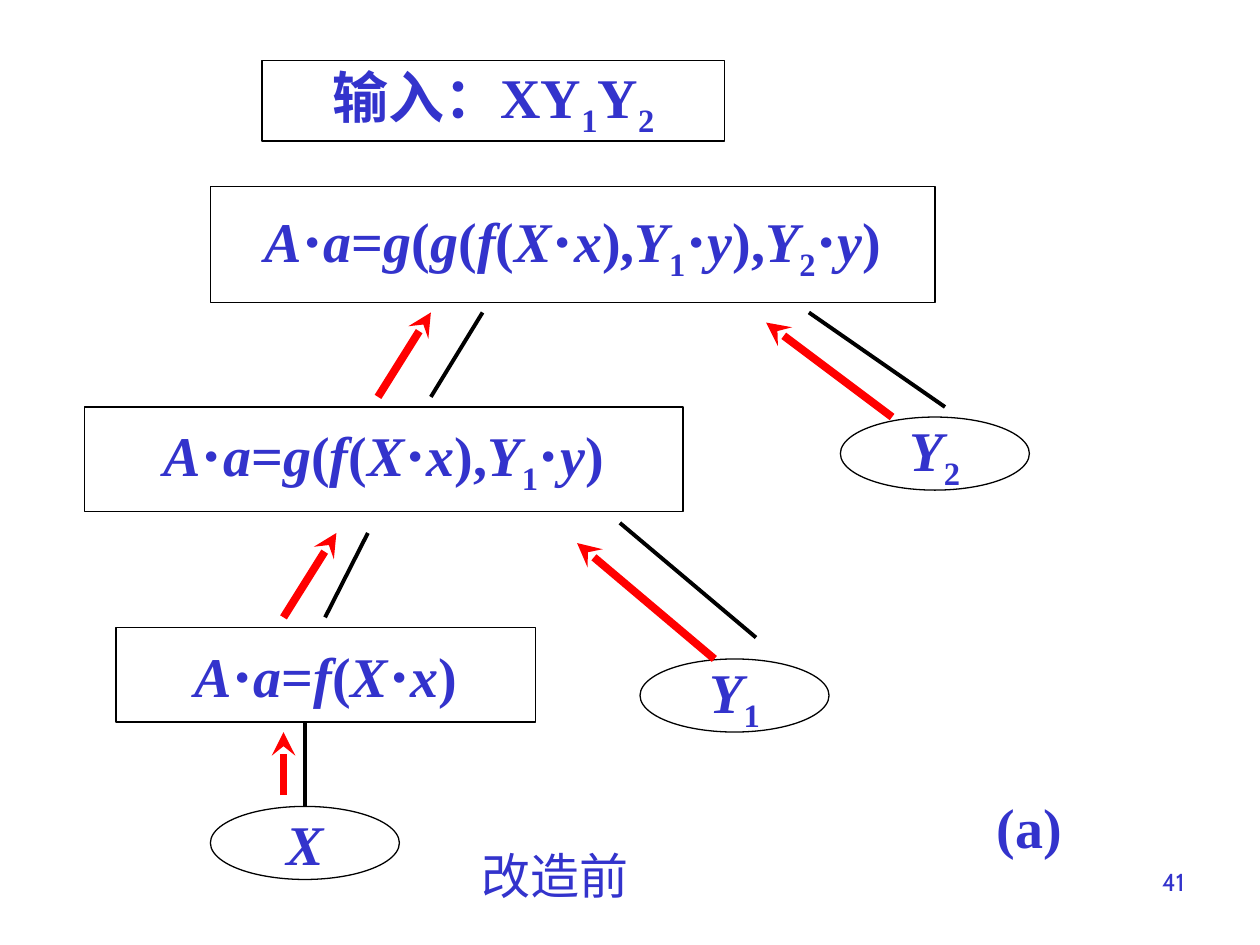
from dataclasses import dataclass
from itertools import groupby

from lxml import etree
from pptx import Presentation
from pptx.dml.color import RGBColor
from pptx.enum import shapes, text
from pptx.oxml.ns import qn
from pptx.util import Inches, Pt


@dataclass(frozen=True)
class Theme:
    ink: RGBColor = RGBColor(0x33, 0x33, 0xCC)
    edge: RGBColor = RGBColor(0, 0, 0)
    flow: RGBColor = RGBColor(0xFF, 0, 0)
    latin: str = "Times New Roman"
    chinese: str = "Noto Sans CJK JP"
    number: str = "Cabin"
    formula_size: int = 32
    caption_size: int = 28
    number_size: int = 14
    outline: float = 0.75
    branch: float = 2.25
    arrow: float = 4.5


@dataclass(frozen=True)
class Node:
    formula: str
    left: float
    top: float
    width: float
    height: float
    kind: int = shapes.MSO_SHAPE.RECTANGLE
    italic: bool = True


@dataclass(frozen=True)
class Leaf(Node):
    width: float = 1.5
    height: float = 0.58
    kind: int = shapes.MSO_SHAPE.OVAL


@dataclass(frozen=True)
class Segment:
    x1: float
    y1: float
    x2: float
    y2: float


@dataclass(frozen=True)
class Label:
    words: str
    left: float
    top: float
    width: float
    height: float
    font: str
    size: int
    bold: bool = False
    align: int = text.PP_ALIGN.CENTER
    anchor: int = text.MSO_ANCHOR.TOP
    wrap: bool = True


THEME = Theme()

NODES = [
    Node("A⋅a=g(g(f(X⋅x),Y1⋅y),Y2⋅y)", 1.67, 1.48, 5.75, 0.92),
    Node("A⋅a=g(f(X⋅x),Y1⋅y)", 0.67, 3.23, 4.75, 0.83),
    Node("A⋅a=f(X⋅x)", 0.92, 4.98, 3.33, 0.75),
    Node("输入：XY1Y2", 2.08, 0.48, 3.67, 0.64, italic=False),
    Leaf("Y2", 6.67, 3.31),
    Leaf("Y1", 5.08, 5.23),
]
INPUT_LEAF = Leaf("X", 1.67, 6.4)
INPUT_BRANCH = Segment(2.42, 6.4, 2.42, 5.73)

BRANCHES = [
    Segment(2.58, 4.9, 2.92, 4.23),
    Segment(3.42, 3.15, 3.83, 2.48),
    Segment(7.5, 3.23, 6.42, 2.48),
    Segment(6, 5.06, 4.92, 4.15),
]
ARROWS = [
    Segment(2.25, 6.31, 2.25, 5.81),
    Segment(7.08, 3.31, 6.08, 2.56),
    Segment(3, 3.15, 3.42, 2.48),
    Segment(5.67, 5.23, 4.58, 4.31),
    Segment(2.25, 4.9, 2.67, 4.23),
]
LABELS = [
    Label("41", 7.17, 6.83, 2.33, 0.52, THEME.number, THEME.number_size,
          align=text.PP_ALIGN.RIGHT),
    Label("(a)", 7.81, 6.24, 0.72, 0.63, THEME.latin, THEME.formula_size,
          bold=True, anchor=text.MSO_ANCHOR.MIDDLE, wrap=False),
    Label("改造前", 3.58, 6.66, 1.65, 0.57, THEME.chinese, THEME.caption_size),
]


def style_span(span, font: str, size: int, bold: bool) -> None:
    span.font.name = font
    span.font.size = Pt(size)
    span.font.bold = bold
    span.font.color.rgb = THEME.ink
    if font == THEME.chinese:
        properties = span.font._element
        etree.SubElement(properties, qn("a:ea")).set("typeface", font)


def glyph_kind(glyph: str) -> str:
    if glyph.isdigit():
        return "subscript"
    if glyph >= "⺀":
        return "chinese"
    return "variable" if glyph.isalpha() else "symbol"


def write_formula(para, formula: str, italic: bool) -> None:
    for kind, glyphs in groupby(formula, glyph_kind):
        span = para.add_run()
        span.text = "".join(glyphs)
        font = THEME.chinese if kind == "chinese" else THEME.latin
        style_span(span, font, THEME.formula_size, True)
        span.font.italic = italic and kind == "variable"
        if kind == "subscript":
            span.font._element.set("baseline", "-25000")


def draw_node(page, node: Node):
    box = page.shapes.add_shape(
        node.kind, Inches(node.left), Inches(node.top),
        Inches(node.width), Inches(node.height))
    box.shadow.inherit = False
    box.fill.background()
    box.line.color.rgb = THEME.edge
    box.line.width = Pt(THEME.outline)
    frame = box.text_frame
    frame.word_wrap = False
    frame.vertical_anchor = text.MSO_ANCHOR.MIDDLE
    para = frame.paragraphs[0]
    para.alignment = text.PP_ALIGN.CENTER
    write_formula(para, node.formula, node.italic)
    return box


def draw_segment(page, segment: Segment, color: RGBColor, width: float,
                 arrow: bool = False):
    line = page.shapes.add_connector(
        shapes.MSO_CONNECTOR.STRAIGHT, Inches(segment.x1), Inches(segment.y1),
        Inches(segment.x2), Inches(segment.y2))
    line.line.color.rgb = color
    line.line.width = Pt(width)
    if arrow:
        outline = line.line._get_or_add_ln()
        etree.SubElement(outline, qn("a:tailEnd")).set("type", "stealth")
    etree.SubElement(line._element.spPr, qn("a:effectLst"))
    return line


def draw_label(page, label: Label) -> None:
    box = page.shapes.add_textbox(
        Inches(label.left), Inches(label.top),
        Inches(label.width), Inches(label.height))
    frame = box.text_frame
    frame.word_wrap = label.wrap
    frame.vertical_anchor = label.anchor
    frame.text = label.words
    para = frame.paragraphs[0]
    para.alignment = label.align
    style_span(para.runs[0], label.font, label.size, label.bold)


def main() -> None:
    deck = Presentation()
    deck.slide_width, deck.slide_height = Inches(10), Inches(7.5)
    page = deck.slides.add_slide(deck.slide_layouts[6])
    for node in NODES:
        draw_node(page, node)
    leaf = draw_node(page, INPUT_LEAF)
    stem = draw_segment(page, INPUT_BRANCH, THEME.edge, THEME.branch)
    stem.begin_connect(leaf, 0)
    for branch in BRANCHES:
        draw_segment(page, branch, THEME.edge, THEME.branch)
    for arrow in ARROWS:
        draw_segment(page, arrow, THEME.flow, THEME.arrow, arrow=True)
    for label in LABELS:
        draw_label(page, label)
    deck.save("out.pptx")


if __name__ == "__main__":
    main()
